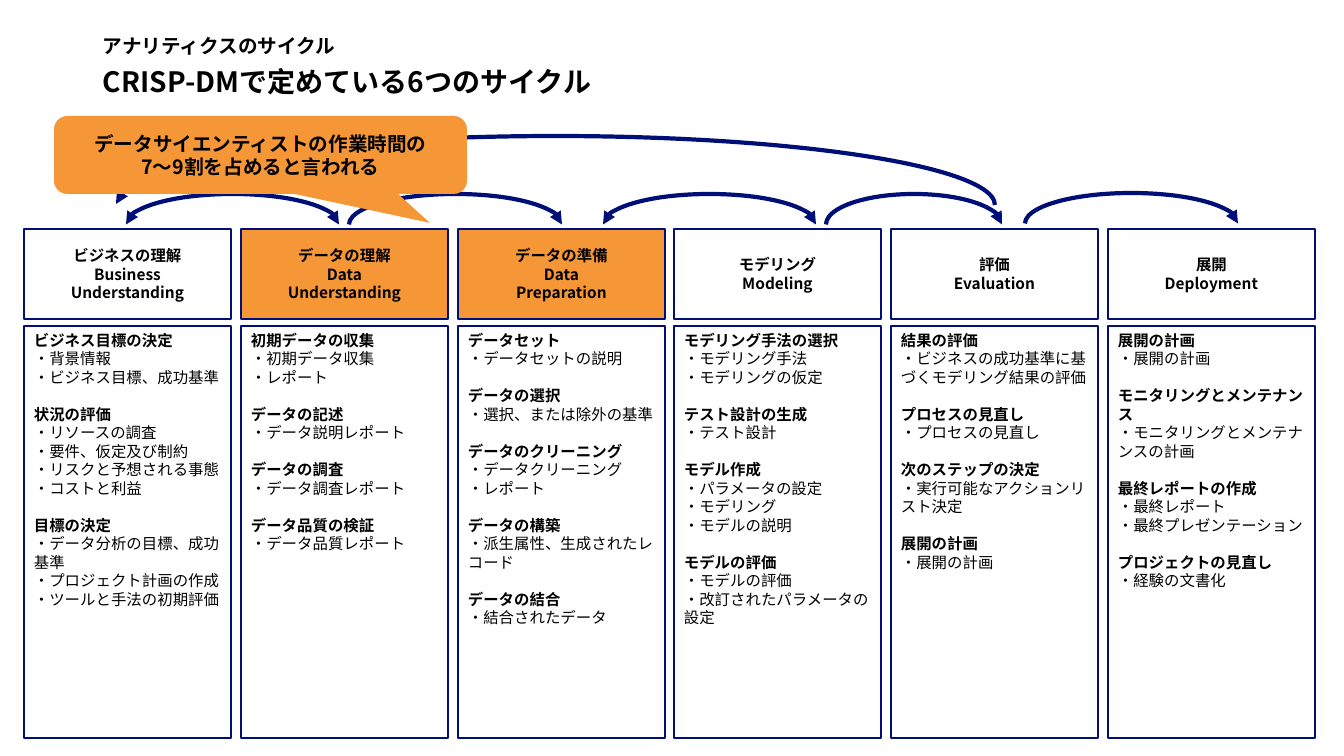
from pptx import Presentation, util as u
from pptx.dml.color import RGBColor as Rgb
from pptx.enum import shapes as sh, text as tx
from pptx.oxml.ns import qn
from lxml import etree

theme = {
    "font": "Noto Sans CJK JP",
    "ink": Rgb.from_string("000000"),
    "navy": Rgb.from_string("000F78"),
    "gold": Rgb.from_string("F59637"),
    "white": Rgb.from_string("FFFFFF"),
    "small": 11, "mid": 14, "big": 20,
}
kind = sh.MSO_SHAPE
mid, top = tx.MSO_ANCHOR.MIDDLE, tx.MSO_ANCHOR.TOP
left, center = tx.PP_ALIGN.LEFT, tx.PP_ALIGN.CENTER
scale = 914400 / 100.8


def write(shape, lines, size=theme["small"], align=center, anchor=mid, gap=0, lead=None):
    """Bold lines are heads; lines that open with a dot are plain items."""
    frame = shape.text_frame
    frame.word_wrap = True
    frame.vertical_anchor = anchor
    for i, line in enumerate(lines):
        para = frame.add_paragraph() if i else frame.paragraphs[0]
        para.alignment = align
        if lead:
            para.line_spacing = lead
        head = not line.startswith("・")
        if i and head and gap:
            para.space_before = u.Pt(gap)
        run = para.add_run()
        run.text = line
        font = run.font
        font.name, font.size, font.bold = theme["font"], u.Pt(size), head
        font.color.rgb = theme["ink"]
        east = etree.SubElement(font._element, qn("a:ea"))
        east.set("typeface", theme["font"])


def draw(form, box, fill=None, line=None, width=1):
    shape = slide.shapes.add_shape(form, *[round(n * scale) for n in box])
    shape.shadow.inherit = False
    if fill is None:
        shape.fill.background()
    else:
        shape.fill.solid()
        shape.fill.fore_color.rgb = fill
    if line is None:
        shape.line.fill.background()
    else:
        shape.line.color.rgb = line
        shape.line.width = u.Pt(width)
    return shape


deck = Presentation()
deck.slide_width, deck.slide_height = round(1344 * scale), round(756 * scale)
slide = deck.slides.add_slide(deck.slide_layouts[6])

# Titles
titles = [
    ("アナリティクスのサイクル", 31, 32, "mid", mid),
    ("CRISP-DMで定めている6つのサイクル", 63, 47, "big", top),
]
for words, y, high, size, anchor in titles:
    box = slide.shapes.add_textbox(*[round(n * scale) for n in (93, y, 1159, high)])
    write(box, [words], size=theme[size], align=left, anchor=anchor, lead=0.9)

# Six phases: head, fill, tasks
phases = [
    ("ビジネスの理解|Business|Understanding", "white", [
        "ビジネス目標の決定", "・背景情報", "・ビジネス目標、成功基準",
        "状況の評価", "・リソースの調査", "・要件、仮定及び制約",
        "・リスクと予想される事態", "・コストと利益",
        "目標の決定", "・データ分析の目標、成功基準",
        "・プロジェクト計画の作成", "・ツールと手法の初期評価"]),
    ("データの理解|Data|Understanding", "gold", [
        "初期データの収集", "・初期データ収集", "・レポート",
        "データの記述", "・データ説明レポート",
        "データの調査", "・データ調査レポート",
        "データ品質の検証", "・データ品質レポート"]),
    ("データの準備|Data|Preparation", "gold", [
        "データセット", "・データセットの説明",
        "データの選択", "・選択、または除外の基準",
        "データのクリーニング", "・データクリーニング", "・レポート",
        "データの構築", "・派生属性、生成されたレコード",
        "データの結合", "・結合されたデータ"]),
    ("モデリング|Modeling", "white", [
        "モデリング手法の選択", "・モデリング手法", "・モデリングの仮定",
        "テスト設計の生成", "・テスト設計",
        "モデル作成", "・パラメータの設定", "・モデリング", "・モデルの説明",
        "モデルの評価", "・モデルの評価", "・改訂されたパラメータの設定"]),
    ("評価|Evaluation", "white", [
        "結果の評価", "・ビジネスの成功基準に基づくモデリング結果の評価",
        "プロセスの見直し", "・プロセスの見直し",
        "次のステップの決定", "・実行可能なアクションリスト決定",
        "展開の計画", "・展開の計画"]),
    ("展開|Deployment", "white", [
        "展開の計画", "・展開の計画",
        "モニタリングとメンテナンス", "・モニタリングとメンテナンスの計画",
        "最終レポートの作成", "・最終レポート", "・最終プレゼンテーション",
        "プロジェクトの見直し", "・経験の文書化"]),
]
for i, (name, fill, tasks) in enumerate(phases):
    x = round(24 + 216.75 * i)
    head = draw(kind.RECTANGLE, (x, 229, 207, 90), theme[fill], theme["navy"])
    write(head, name.split("|"))
    panel = draw(kind.RECTANGLE, (x, 326, 207, 412), theme["white"], theme["navy"])
    write(panel, tasks, align=left, anchor=top, gap=13.2)

# Cycle arrows: box, end angle, both ends, flipped
arcs = [
    ((126, 194, 213, 61), 0, True, False),
    ((603, 194, 213, 61), 0, True, False),
    ((349, 194, 213, 61), 0, False, False),
    ((826, 194, 176, 61), 0, False, False),
    ((1025, 193, 213, 61), 0, False, False),
    ((116, 136, 879, 138), 215.92, False, True),
]
for box, end, both, flip in arcs:
    arc = draw(kind.ARC, box, line=theme["navy"], width=3)
    arc.adjustments[0], arc.adjustments[1] = 108, end
    if flip:
        arc._element.spPr.find(qn("a:xfrm")).set("flipH", "1")
    for tip in ["a:headEnd", "a:tailEnd"] if both else ["a:tailEnd"]:
        etree.SubElement(arc.line._ln, qn(tip)).set("type", "triangle")

# Callout
note = draw(kind.ROUNDED_RECTANGULAR_CALLOUT, (54, 116, 413, 78), theme["gold"])
for i, value in enumerate([0.41, 0.87, 0.17]):
    note.adjustments[i] = value
write(note, ["データサイエンティストの作業時間の", "7～9割を占めると言われる"], size=theme["mid"])

deck.save("out.pptx")
